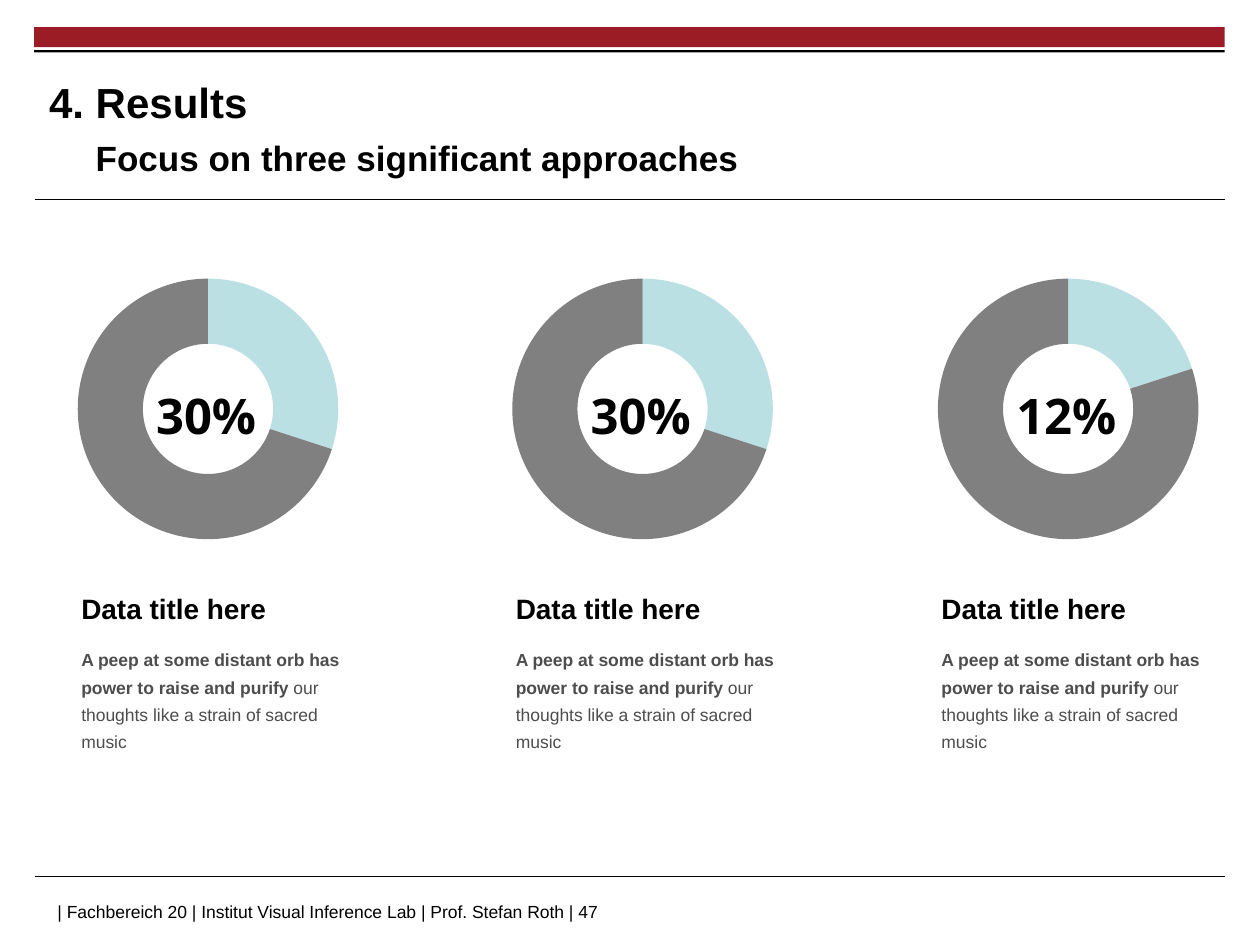
import pptx
import pptx.chart.data
import pptx.dml.color
import pptx.enum.chart
import pptx.enum.shapes
import pptx.enum.text
import pptx.oxml
import pptx.oxml.ns
import pptx.util

Cm = pptx.util.Cm
Pt = pptx.util.Pt
ANCHOR = pptx.enum.text.MSO_ANCHOR
ALIGN = pptx.enum.text.PP_ALIGN

# Content
TITLE = "4. Results"
SUBTITLE = "Focus on three significant approaches"
FOOTER = ["Fachbereich 20", "Institut Visual Inference Lab", "Prof. Stefan Roth", "47"]
CAPTION_TITLE = "Data title here"
CAPTION_STRONG = "A peep at some distant orb has power to raise and purify "
CAPTION_REST = "our thoughts like a strain of sacred music"
APPROACHES = [  # left edge in cm, label, chart values
    (0.41, "30%", (30, 70)),
    (9.17, "30%", (30, 70)),
    (17.75, "12%", (20, 80)),
]

THEME = {
    "colors": {"bar": "9C1C26", "ink": "000000", "muted": "4D4D4D"},
    "slices": ("BBE0E3", "808080"),
    "styles": {
        "title": {"name": "Arial", "size": Pt(24), "bold": True},
        "subtitle": {"name": "Arial", "size": Pt(20), "bold": True},
        "percent": {"name": "Open Sans", "size": Pt(28), "bold": True},
        "heading": {"name": "Arial", "size": Pt(16), "bold": True},
        "strong": {"name": "Arial", "size": Pt(10), "bold": True},
        "body": {"name": "Arial", "size": Pt(10), "bold": False},
    },
}


def color(value):
    return pptx.dml.color.RGBColor.from_string(value)


def apply_format(target, values):
    for name, value in values.items():
        setattr(target, name, value)


def add_text(shapes, box, paragraphs, margins=(0, 0, 0, 0), anchor=ANCHOR.TOP):
    """Each paragraph is (runs, format); each run is (text, style, color)."""
    shape = shapes.add_textbox(*map(Cm, box))
    frame = shape.text_frame
    left, top, right, bottom = map(Cm, margins)
    apply_format(frame, {"word_wrap": True, "vertical_anchor": anchor,
                         "margin_left": left, "margin_top": top,
                         "margin_right": right, "margin_bottom": bottom})
    for index, (runs, values) in enumerate(paragraphs):
        paragraph = frame.add_paragraph() if index else frame.paragraphs[0]
        apply_format(paragraph, values)
        for text, style, ink in runs:
            run = paragraph.add_run()
            run.text = text
            apply_format(run.font, THEME["styles"][style])
            run.font.color.rgb = color(THEME["colors"][ink])
    return shape


def add_bar(shapes, box, fill):
    shape = shapes.add_shape(pptx.enum.shapes.MSO_SHAPE.RECTANGLE, *map(Cm, box))
    shape.shadow.inherit = False
    shape.fill.solid()
    shape.fill.fore_color.rgb = color(THEME["colors"][fill])
    shape.line.fill.background()


def add_rule(shapes, left, top, width):
    line = shapes.add_connector(pptx.enum.shapes.MSO_CONNECTOR.STRAIGHT,
                                Cm(left), Cm(top), Cm(left + width), Cm(top))
    line.line.color.rgb = color(THEME["colors"]["ink"])
    line.line.width = Pt(0.6)
    properties = line._element.spPr
    properties.append(properties.makeelement(pptx.oxml.ns.qn("a:effectLst"), {}))


def add_doughnut(shapes, box, values):
    data = pptx.chart.data.CategoryChartData()
    data.categories = [str(number + 1) for number in range(len(values))]
    data.add_series("Series 1", values)
    chart = shapes.add_chart(pptx.enum.chart.XL_CHART_TYPE.DOUGHNUT,
                             *map(Cm, box), data).chart
    apply_format(chart, {"has_title": False, "has_legend": False})
    apply_format(chart.font, {"name": "Arial", "size": Pt(10)})
    chart.font.color.rgb = color(THEME["colors"]["ink"])
    plot = chart.plots[0]
    plot.vary_by_categories = True
    for index, slice_color in enumerate(THEME["slices"]):
        point = plot.series[0].points[index]
        point.format.fill.solid()
        point.format.fill.fore_color.rgb = color(slice_color)
        point.format.line.fill.background()
    # Hole size and a centred plot area
    chart._chartSpace.xpath(".//c:holeSize")[0].set("val", "80")
    plot_area = chart._chartSpace.xpath(".//c:plotArea")[0]
    for old_layout in plot_area.xpath("./c:layout"):
        plot_area.remove(old_layout)
    plot_area.insert(0, pptx.oxml.parse_xml(
        f'<c:layout {pptx.oxml.ns.nsdecls("c")}><c:manualLayout>'
        '<c:layoutTarget val="inner"/><c:xMode val="edge"/><c:yMode val="edge"/>'
        '<c:x val="0.15"/><c:y val="0.06"/><c:w val="0.7"/><c:h val="0.88"/>'
        '</c:manualLayout></c:layout>'))


def add_approach(slide, left, label, values):
    # Chart with its percentage in the middle
    group = slide.shapes.add_group_shape().shapes
    add_doughnut(group, (left, 5.26, 7.57, 5.97), values)
    add_text(group, (left + 2.13, 7.44, 3.23, 1.45),
             [([(label, "percent", "ink")],
               {"alignment": ALIGN.CENTER, "line_spacing": 1.45})],
             (0.25, 0, 0.25, 0.13), ANCHOR.MIDDLE)
    # Caption
    add_text(slide.shapes, (left + 1.23, 11.63, 6.02, 3.66),
             [([(CAPTION_TITLE, "heading", "ink")], {"line_spacing": 1.3}),
              ([(CAPTION_STRONG, "strong", "muted"), (CAPTION_REST, "body", "muted")],
               {"line_spacing": 1.3, "space_before": Pt(10)})],
             (0, 0.1, 0.6, 0.1))


def main():
    presentation = pptx.Presentation()
    apply_format(presentation, {"slide_width": Cm(25.4), "slide_height": Cm(19.05)})
    slide = presentation.slides.add_slide(presentation.slide_layouts[6])
    shapes = slide.shapes

    # Header bars and rules
    add_bar(shapes, (0.69, 0.55, 24, 0.4), "bar")
    add_bar(shapes, (0.69, 1.01, 24, 0.05), "ink")
    for top in (4.03, 17.66):
        add_rule(shapes, 0.7, top, 24)

    # Title, with the subtitle indented past the number
    title = add_text(shapes, (0.99, 1.4, 18.44, 2.34),
                     [([(TITLE, "title", "ink")], {}),
                      ([(SUBTITLE, "subtitle", "ink")], {"space_before": Pt(5)})],
                     anchor=ANCHOR.MIDDLE)
    subtitle = title.text_frame.paragraphs[1]
    subtitle._p.get_or_add_pPr().set("marL", str(Cm(0.94)))

    for left, label, values in APPROACHES:
        add_approach(slide, left, label, values)

    # Footer, with an en space after each bar
    footer = "| " + " | ".join(FOOTER)
    add_text(shapes, (0.71, 18.03, 20.02, 0.64),
             [([(footer, "body", "ink")], {})], (0.45, 0.13, 0.25, 0.13))

    presentation.save("out.pptx")


if __name__ == "__main__":
    main()
